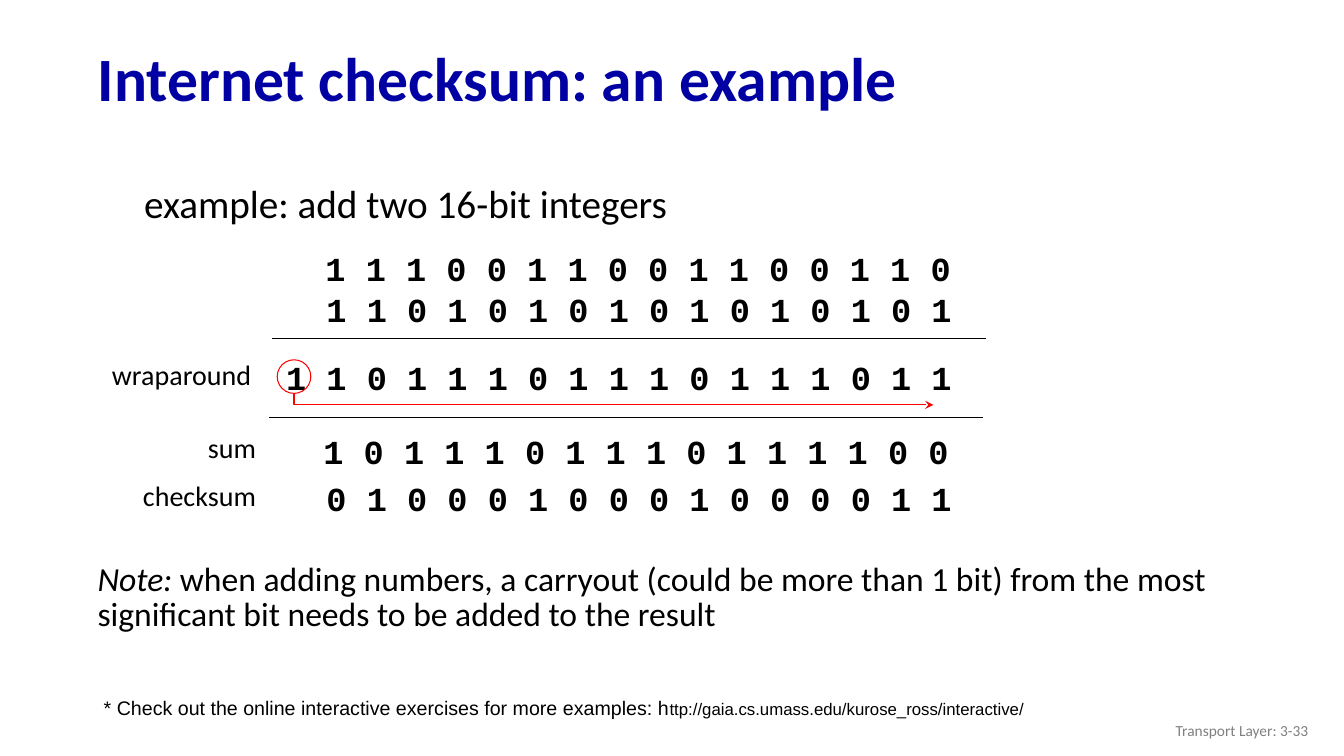
import pptx
import pptx.util
import pptx.dml.color
import pptx.enum.shapes
import pptx.enum.text
import pptx.oxml.ns
from dataclasses import dataclass
from lxml import etree

Pt = pptx.util.Pt
RGB = pptx.dml.color.RGBColor
ALIGN = pptx.enum.text.PP_ALIGN
ANCHOR = pptx.enum.text.MSO_ANCHOR
qn = pptx.oxml.ns.qn


@dataclass(frozen=True)
class Theme:
    sans: str = "Calibri"
    footnote_font: str = "Arial"
    mono: str = "Courier New"
    title: RGB = RGB(0x00, 0x00, 0xA3)
    ink: RGB = RGB(0x00, 0x00, 0x00)
    carry: RGB = RGB(0xFF, 0x00, 0x00)
    grey: RGB = RGB(0x80, 0x80, 0x80)
    title_size: int = 44
    body_size: int = 28
    bits_size: int = 24
    note_size: int = 24
    label_size: int = 20
    footnote_size: int = 14
    link_size: int = 12
    page_size: int = 11


theme = Theme()


def write(shape, runs, font, color, align=ALIGN.LEFT, anchor=ANCHOR.TOP, spacing=1.0):
    """Fill a text shape with one paragraph; each run is (text, size, bold, italic)."""
    frame = shape.text_frame
    frame.word_wrap = True
    frame.auto_size = pptx.enum.text.MSO_AUTO_SIZE.NONE
    frame.vertical_anchor = anchor
    paragraph = frame.paragraphs[0]
    paragraph.alignment = align
    paragraph.line_spacing = spacing
    paragraph.space_before = Pt(0)
    for text, size, bold, italic in runs:
        run = paragraph.add_run()
        run.text = text
        run.font.name = font
        run.font.size = Pt(size)
        run.font.bold = bold
        run.font.italic = italic
        run.font.color.rgb = color
    return paragraph


def place(shape, left, top, width, height):
    shape.left, shape.top = Pt(left), Pt(top)
    shape.width, shape.height = Pt(width), Pt(height)


presentation = pptx.Presentation()
presentation.slide_width = Pt(960)
presentation.slide_height = Pt(540)
slide = presentation.slides.add_slide(presentation.slide_layouts[1])
shapes = slide.shapes

# Title
place(shapes.title, 62.6, 23, 874, 70.6)
write(shapes.title, [("Internet checksum: an example", theme.title_size, True, False)],
      theme.sans, theme.title, anchor=ANCHOR.MIDDLE, spacing=0.9)

# Body line, without a bullet
body = slide.placeholders[1]
place(body, 95.8, 114.5, 612, 216)
properties = body.text_frame.paragraphs[0]._p.get_or_add_pPr()
properties.set("marL", str(Pt(18.7)))
properties.set("indent", str(Pt(-18.7)))
etree.SubElement(properties, qn("a:buNone"))
properties.set("marL", "0")
properties.set("indent", "0")
write(body, [("example: add two 16-bit integers", theme.body_size, False, False)],
      theme.sans, theme.ink, spacing=1.3)

# Binary numbers: left, top, digits
bit_rows = [
    (225.4, 173.5, "1110011001100110"),
    (226.1, 203, "1101010101010101"),
    (197.3, 251.3, "11011101110111011"),
    (223.9, 304.6, "1011101110111100"),
    (226.1, 337.7, "0100010001000011"),
]
for left, top, digits in bit_rows:
    row = shapes.add_textbox(Pt(left), Pt(top), Pt(28.8 * len(digits) + 4), Pt(36))
    write(row, [(" ".join(digits), theme.bits_size, True, False)], theme.mono, theme.ink)

# Row labels, flush right
for label, top, right in [("wraparound", 252, 186.5), ("sum", 303.8, 190), ("checksum", 338.4, 190)]:
    box = shapes.add_textbox(Pt(right - 125), Pt(top), Pt(125), Pt(31.5))
    write(box, [(label, theme.label_size, False, False)],
          theme.sans, theme.ink, align=ALIGN.RIGHT)

# Rules above and below the wraparound row
for left, top in [(194.4, 241.9), (192.2, 298.1)]:
    rule = shapes.add_connector(pptx.enum.shapes.MSO_CONNECTOR.STRAIGHT,
                                Pt(left), Pt(top), Pt(left + 510), Pt(top))
    rule.line.color.rgb = theme.ink
    rule.line.width = Pt(1)
    etree.SubElement(rule._element.spPr, qn("a:effectLst"))

# Carry bit: circle and arrow to the last digit
circle = shapes.add_shape(pptx.enum.shapes.MSO_SHAPE.OVAL, Pt(198), Pt(257), Pt(24), Pt(24))
builder = shapes.build_freeform(Pt(210), Pt(281.5))
builder.add_line_segments([(Pt(210), Pt(289.2)), (Pt(666.7), Pt(289.2))], close=False)
arrow = builder.convert_to_shape()
for shape in (circle, arrow):
    shape.shadow.inherit = False
    shape.fill.background()
    shape.line.color.rgb = theme.carry
    shape.line.width = Pt(0.75)
etree.SubElement(arrow._element.spPr.find(qn("a:ln")), qn("a:tailEnd"), type="stealth")

# Note
note = shapes.add_textbox(Pt(62.6), Pt(399.6), Pt(816.5), Pt(85))
write(note, [
    ("Note:", theme.note_size, False, True),
    (" when adding numbers, a carryout (could be more than 1 bit) from the most "
     "significant bit needs to be added to the result", theme.note_size, False, False),
], theme.sans, theme.ink, spacing=0.85)

# Footnote
footnote = shapes.add_textbox(Pt(67), Pt(493.2), Pt(776), Pt(24.5))
write(footnote, [
    ("* Check out the online interactive exercises for more examples: h",
     theme.footnote_size, False, False),
    ("ttp://gaia.cs.umass.edu/kurose_ross/interactive/", theme.link_size, False, False),
], theme.footnote_font, theme.ink)

# Page number
page = shapes.add_textbox(Pt(725.8), Pt(507.6), Pt(216), Pt(28.8))
write(page, [("Transport Layer: 3-33", theme.page_size, False, False)],
      theme.sans, theme.grey, align=ALIGN.RIGHT, anchor=ANCHOR.MIDDLE)

presentation.save("out.pptx")
